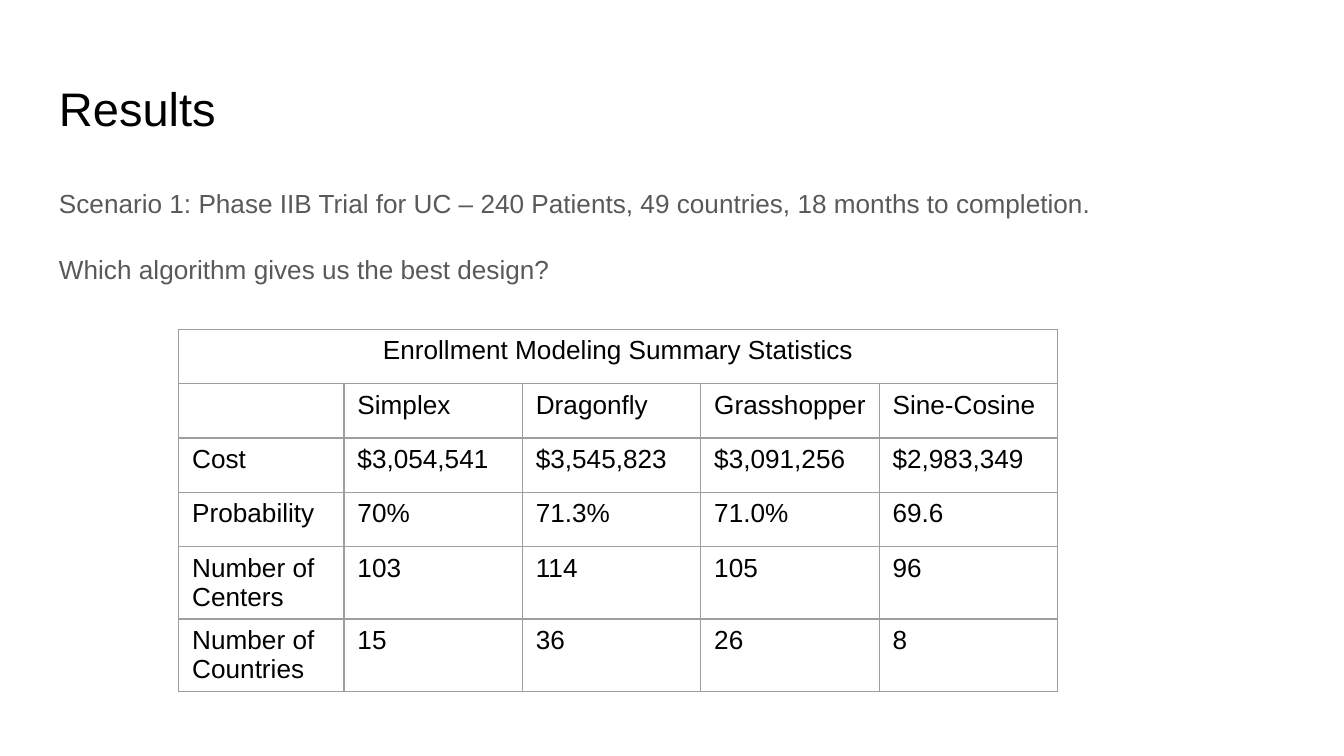
from pptx import Presentation
from pptx.dml.color import RGBColor
from pptx.enum.text import MSO_ANCHOR, PP_ALIGN
from pptx.oxml import parse_xml
from pptx.oxml.ns import nsdecls
from pptx.util import Inches, Pt

W = 10
H = W * 9 / 16
MARGIN = 0.34
ROW_H = H * 0.72 / 10
TABLE_W, LABEL_W = 6.54, 1.23
BLACK, GREY, BORDER = "000000", "595959", "9E9E9E"


def style(p, size, color):
    p.font.name = "Arial"
    p.font.size = Pt(size)
    p.font.bold = False
    p.font.color.rgb = RGBColor.from_string(color)


prs = Presentation()
prs.slide_width, prs.slide_height = Inches(W), Inches(H)
s = prs.slides.add_slide(prs.slide_layouts[6])

# Title and the two lines below it
lines = [
    ("Results", 0.49, 0.63, 25.2, BLACK),
    ("Scenario 1: Phase IIB Trial for UC – 240 Patients, 49 countries, "
     "18 months to completion.", 1.26, 0.56, 14, GREY),
    ("Which algorithm gives us the best design?", 1.75, 0.56, 14, GREY),
]
for text, top, height, size, color in lines:
    sp = s.shapes.add_textbox(Inches(MARGIN), Inches(top),
                              Inches(W - 2 * MARGIN), Inches(height))
    tf = sp.text_frame
    tf.word_wrap = True
    tf.margin_left = tf.margin_right = Inches(0.1)
    tf.margin_top = tf.margin_bottom = Inches(0.1)
    p = tf.paragraphs[0]
    p.text = text
    style(p, size, color)
    if color == BLACK:
        tf.vertical_anchor = MSO_ANCHOR.MIDDLE
    else:
        p.line_spacing = 1.15
        p.space_after = Pt(12)

# Summary table
rows = [
    ["Enrollment Modeling Summary Statistics", "", "", "", ""],
    ["", "Simplex", "Dragonfly", "Grasshopper", "Sine-Cosine"],
    ["Cost", "$3,054,541", "$3,545,823", "$3,091,256", "$2,983,349"],
    ["Probability", "70%", "71.3%", "71.0%", "69.6"],
    ["Number of Centers", "103", "114", "105", "96"],
    ["Number of Countries", "15", "36", "26", "8"],
]
n_rows, n_cols = len(rows), len(rows[0])
value_w = (TABLE_W - LABEL_W) / (n_cols - 1)
table = s.shapes.add_table(
    n_rows, n_cols, Inches(1.33), Inches(2.45),
    Inches(TABLE_W), Inches(n_rows * ROW_H)).table
table.first_row = table.horz_banding = False
for i, col in enumerate(table.columns):
    col.width = Inches(value_w if i else LABEL_W)

for r, values in enumerate(rows):
    for c, value in enumerate(values):
        cell = table.cell(r, c)
        cell.margin_bottom = Inches(0.02)
        p = cell.text_frame.paragraphs[0]
        p.text = value
        style(p, 14, BLACK)
        tcPr = cell._tc.get_or_add_tcPr()
        for side in ("lnL", "lnR", "lnT", "lnB"):
            tcPr.append(parse_xml(
                f'<a:{side} {nsdecls("a")} w="{Pt(0.75)}"><a:solidFill>'
                f'<a:srgbClr val="{BORDER}"/></a:solidFill></a:{side}>'))
        cell.fill.background()

table.cell(0, 0).merge(table.cell(0, n_cols - 1))
table.cell(0, 0).text_frame.paragraphs[0].alignment = PP_ALIGN.CENTER

prs.save("out.pptx")
